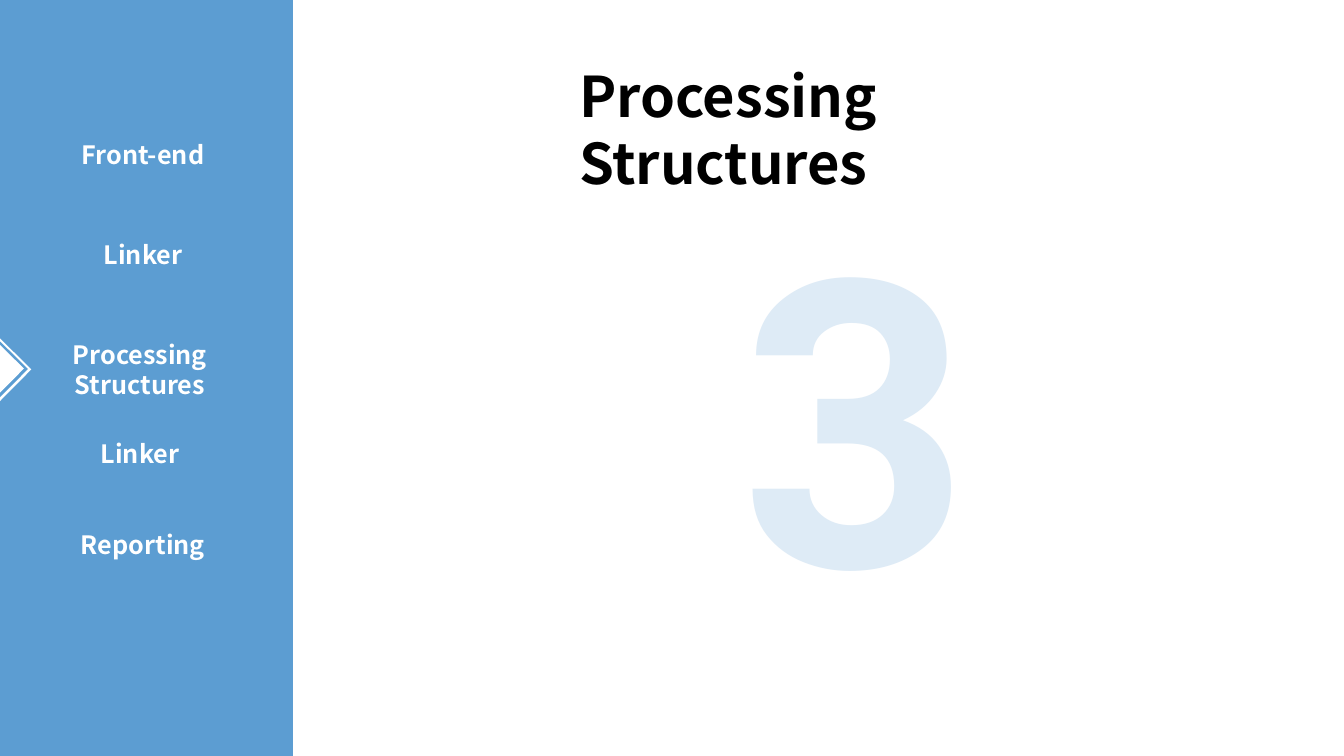
from pptx import Presentation
from pptx import util as u
from pptx.dml.color import RGBColor
from pptx.enum import shapes, text

PX = 914400 / 100.8
SANS = "Noto Sans CJK SC"
BLUE, PALE_BLUE, WHITE, BLACK = "5C9DD2", "DEEBF6", "FFFFFF", "000000"

# left, top and wording of each section in the sidebar
SECTIONS = [
    (43, 134, "Front-end"),
    (43, 234, "Linker"),
    (40, 334, "Processing Structures"),
    (40, 433, "Linker"),
    (43, 524, "Reporting"),
]
# nested triangles of the marker: left, top, width, height, colour
MARKER = [
    (-23, 347, 45, 45, WHITE),
    (-20, 350, 40, 39, BLUE),
    (-18, 352, 35, 34, WHITE),
]


def px(n):
    return u.Emu(round(n * PX))


def rgb(colour):
    return RGBColor.from_string(colour)


def add_block(s, kind, x, y, w, h, colour):
    sp = s.shapes.add_shape(kind, px(x), px(y), px(w), px(h))
    sp.shadow.inherit = False
    sp.fill.solid()
    sp.fill.fore_color.rgb = rgb(colour)
    sp.line.fill.background()
    return sp


def add_marker_triangle(s, x, y, w, h, colour):
    sp = add_block(s, shapes.MSO_SHAPE.RIGHT_TRIANGLE, x, y, w, h, colour)
    sp.rotation = 134.7
    sp.element.spPr.find("{*}xfrm").set("flipV", "1")


def write(sp, words, size, font, colour, align, wrap=True):
    tf = sp.text_frame
    tf.word_wrap = wrap
    tf.auto_size = text.MSO_AUTO_SIZE.SHAPE_TO_FIT_TEXT
    tf.vertical_anchor = text.MSO_ANCHOR.TOP
    p = tf.paragraphs[0]
    p.alignment = align
    r = p.add_run()
    r.text = words
    r.font.size = u.Pt(size)
    r.font.name = font
    r.font.bold = True
    r.font.color.rgb = rgb(colour)


def add_text(s, x, y, w, h, *style, **options):
    sp = s.shapes.add_textbox(px(x), px(y), px(w), px(h))
    write(sp, *style, **options)


def add_title(s, x, y, w, h, words):
    sp = s.shapes.title
    sp.left, sp.top, sp.width, sp.height = px(x), px(y), px(w), px(h)
    write(sp, words, 40, SANS, BLACK, text.PP_ALIGN.LEFT)


def main():
    prs = Presentation()
    prs.slide_width, prs.slide_height = px(1344), px(756)
    s = prs.slides.add_slide(prs.slide_layouts[5])

    # Sidebar with the marker of the current section
    add_block(s, shapes.MSO_SHAPE.RECTANGLE, 0, 0, 293, 756, BLUE)
    for triangle in MARKER:
        add_marker_triangle(s, *triangle)
    for x, y, words in SECTIONS:
        height = 72 if " " in words else 40
        add_text(s, x, y, 200, height, words, 18, SANS, WHITE,
                 text.PP_ALIGN.CENTER)

    # Section number and title
    add_text(s, 731, 161, 218, 497, "3", 287, "Roboto", PALE_BLUE,
             text.PP_ALIGN.LEFT, wrap=False)
    add_title(s, 569, 56, 543, 78, "Processing Structures")

    prs.save("out.pptx")


if __name__ == "__main__":
    main()
